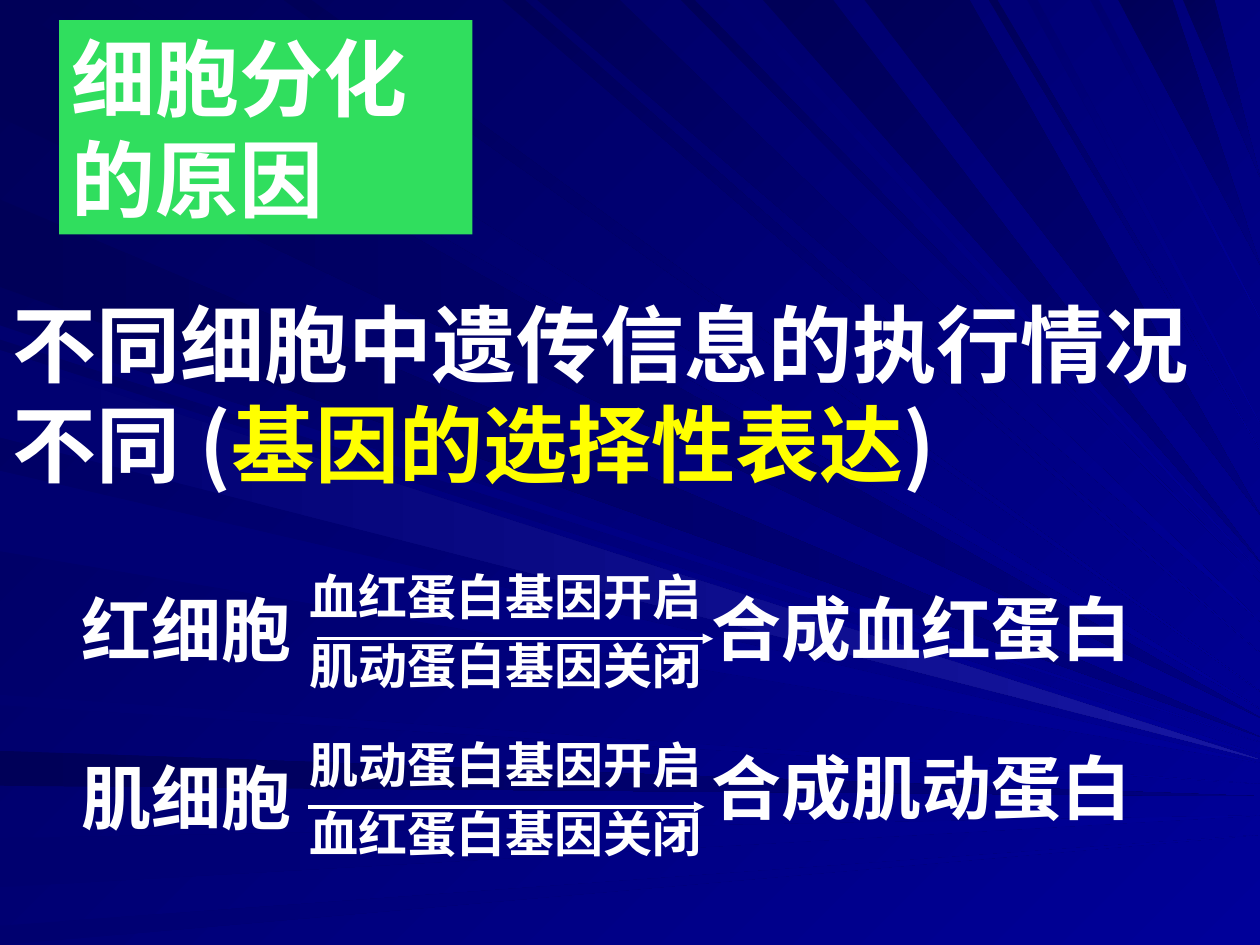
import pptx
import pptx.dml.color
import pptx.enum.shapes
import pptx.enum.text
import pptx.oxml
import pptx.oxml.ns
import pptx.util
import lxml.etree

Pt = pptx.util.Pt
RGBColor = pptx.dml.color.RGBColor
qn = pptx.oxml.ns.qn

FONT = "Noto Sans CJK SC"
WHITE = RGBColor(0xFF, 0xFF, 0xFF)
YELLOW = RGBColor(0xFF, 0xFF, 0x00)
GREEN = RGBColor(0x30, 0xDE, 0x5E)
DUSK = RGBColor(0x00, 0x00, 0x58)
DEEP = RGBColor(0x00, 0x00, 0x6F)
NAVY = RGBColor(0x00, 0x00, 0x80)
BLUE = RGBColor(0x00, 0x00, 0x99)
GLOW = RGBColor(0x17, 0x17, 0xA2)
WIDTH, HEIGHT = 720, 540

# Rays by edge and colours: two starts on the edge, then the height
# at which the ray meets the right side.
RAYS = [
    ("left", DUSK, NAVY, [(1, 67, 410), (429, 449, 455), (114, 164, 421)]),
    ("top", DUSK, BLUE, [(19, 73, 405), (287, 300, 373), (307, 354, 355),
                         (389, 397, 333)]),
    ("top", DUSK, NAVY, [(436, 476, 321), (639, 670, 151), (676, 694, 101)]),
    ("left", DEEP, BLUE, [(479, 507, 466), (529, 540, 477), (186, 194, 424),
                          (200, 246, 431), (269, 315, 436), (397, 403, 448)]),
    ("top", DUSK, BLUE, [(162, 178, 395), (565, 570, 257)]),
    ("top", DUSK, NAVY, [(494, 554, 294)]),
    ("top", DEEP, BLUE, [(415, 423, 327), (587, 593, 242), (623, 628, 182)]),
    ("left", DEEP, GLOW, [(204, 250, 434)]),
]

# Cell, gene on, gene off, product; then tops of row and product, arrow start.
ROWS = [
    ("红细胞", "血红蛋白基因开启", "肌动蛋白基因关闭", "合成血红蛋白", 320, 331, 181),
    ("肌细胞", "肌动蛋白基因开启", "血红蛋白基因关闭", "合成肌动蛋白", 416, 422, 176),
]


def shade(fill, start, end, angle):
    """Fill with a two-colour gradient at a clockwise angle."""
    fill.gradient()
    fill.gradient_angle = -angle % 360
    for stop, color in zip(fill.gradient_stops, (start, end)):
        stop.color.rgb = color


def add_ray(slide, edge, start, end, near, far, tip):
    """Add a ray that narrows from the left or top edge to the right side."""
    if edge == "left":
        corners = [(0, near), (0, far)]
    else:
        corners = [(near, 0), (far, 0)]
    first, second = [(Pt(x), Pt(y)) for x, y in corners]
    pen = slide.shapes.build_freeform(*first)
    pen.add_line_segments([second, (Pt(WIDTH), Pt(tip))], close=True)
    ray = pen.convert_to_shape()
    ray.shadow.inherit = False
    ray.line.fill.background()
    shade(ray.fill, start, end, 0 if edge == "left" else 45)


def style(para, size):
    para.alignment = pptx.enum.text.PP_ALIGN.LEFT
    font = para.font
    font.size = Pt(size)
    font.bold = True
    font.color.rgb = WHITE
    font.name = FONT
    props = para._p.get_or_add_pPr().find(qn("a:defRPr"))
    lxml.etree.SubElement(props, qn("a:ea"), typeface=FONT)


def add_text(slide, left, top, width, height, size, *runs):
    """Add a text box; each run is a (text, colour or None) pair."""
    box = slide.shapes.add_textbox(Pt(left), Pt(top), Pt(width), Pt(height))
    frame = box.text_frame
    frame.word_wrap = True
    frame.auto_size = pptx.enum.text.MSO_AUTO_SIZE.SHAPE_TO_FIT_TEXT
    para = frame.paragraphs[0]
    style(para, size)
    for text, color in runs:
        run = para.add_run()
        run.text = text
        if color is not None:
            run.font.color.rgb = color


def add_arrow(slide, left, top, width):
    arrow = slide.shapes.add_connector(
        pptx.enum.shapes.MSO_CONNECTOR.STRAIGHT,
        Pt(left), Pt(top), Pt(left + width), Pt(top))
    arrow.line.color.rgb = WHITE
    arrow.line.width = Pt(2)
    lxml.etree.SubElement(arrow.line._get_or_add_ln(), qn("a:tailEnd"), type="triangle")
    lxml.etree.SubElement(arrow.element.spPr, qn("a:effectLst"))


def add_row(slide, cell, on, off, product, top, right, start):
    add_text(slide, 39.6, top + 11.5, 266, 55.4, 40, (cell, None))
    add_arrow(slide, start, top + 45, 226.5)
    for text, y in ((on, top), (off, top + 39.6)):
        add_text(slide, 170, y, 255, 41, 28, (text, None))
    add_text(slide, 399.6, right, 283.7, 55.4, 40, (product, None))


def set_title(slide, text):
    title = slide.shapes.title
    title.left, title.top, title.width, title.height = map(Pt, (33.8, 11.5, 236.2, 122.4))
    title.fill.solid()
    title.fill.fore_color.rgb = GREEN
    frame = title.text_frame
    frame.text = text
    frame.word_wrap = True
    frame.auto_size = pptx.enum.text.MSO_AUTO_SIZE.NONE
    frame.vertical_anchor = pptx.enum.text.MSO_ANCHOR.TOP
    style(frame.paragraphs[0], 48)
    # Bring the title in front of the rays.
    title.element.getparent().append(title.element)


def main():
    deck = pptx.Presentation()
    deck.slide_width, deck.slide_height = Pt(WIDTH), Pt(HEIGHT)
    slide = deck.slides.add_slide(deck.slide_layouts[5])
    shade(slide.background.fill, DUSK, BLUE, 45)
    for edge, start, end, rays in RAYS:
        for ray in rays:
            add_ray(slide, edge, start, end, *ray)
    for row in ROWS:
        add_row(slide, *row)
    add_text(slide, 0, 163.4, 689, 122.4, 48,
             ("不同细胞中遗传信息的执行情况不同 (", None),
             ("基因的选择性表达", YELLOW), (")", None))
    set_title(slide, "细胞分化的原因")
    deck.save("out.pptx")


if __name__ == "__main__":
    main()
